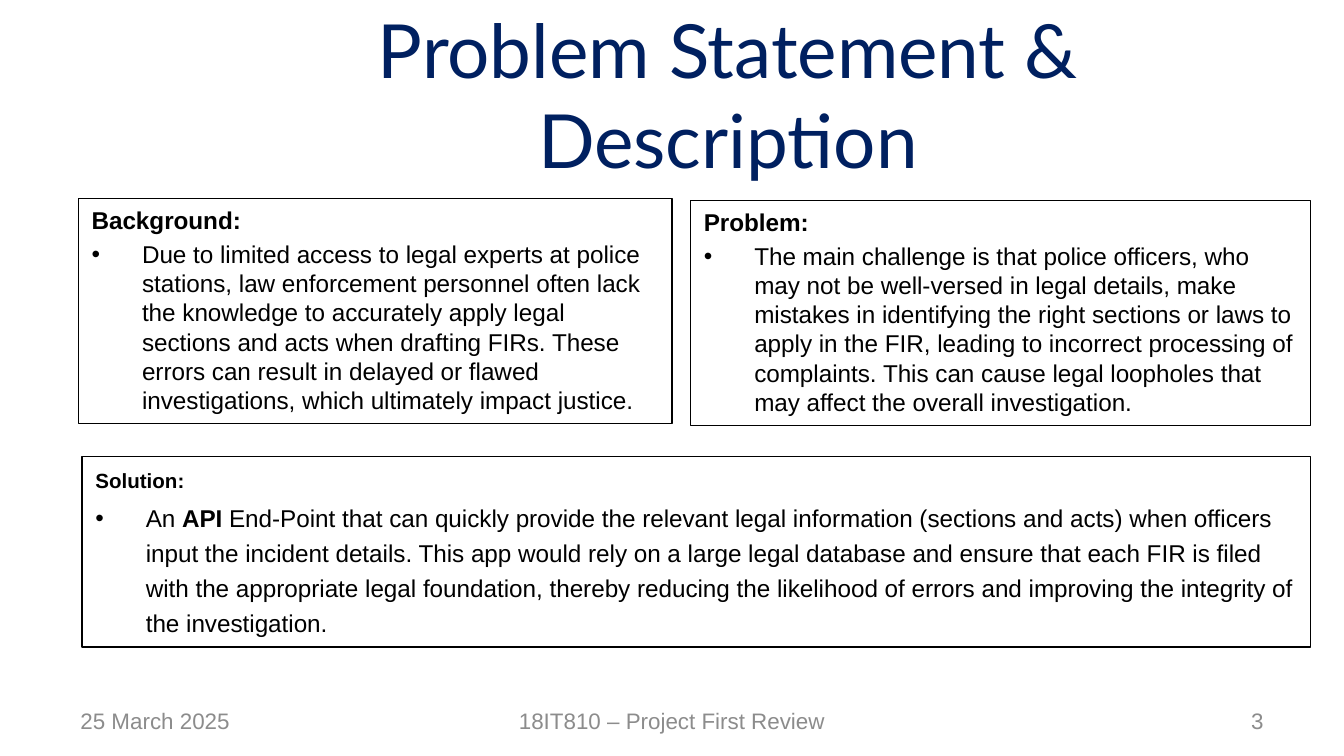
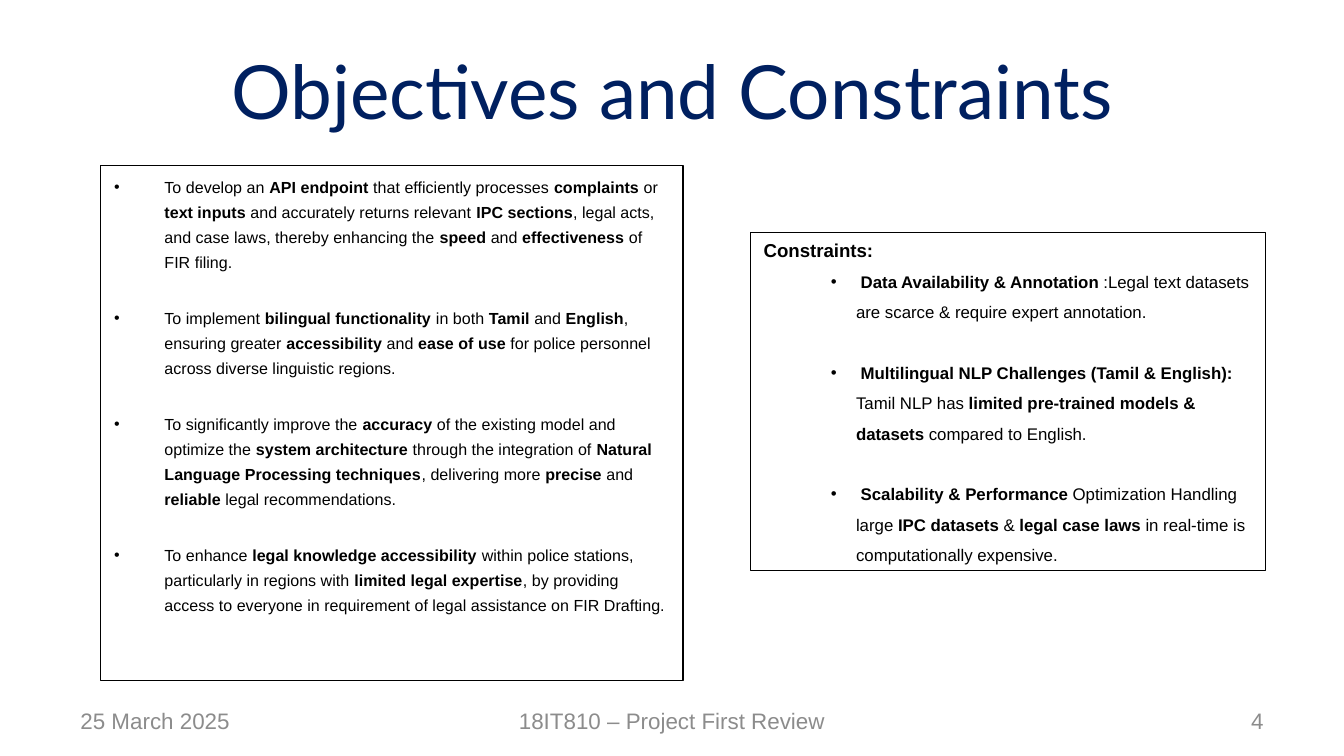
"""Build two project review slides: problem statement, then objectives and constraints."""
from dataclasses import dataclass

from lxml import etree
from pptx import Presentation
from pptx.dml.color import RGBColor
from pptx.enum import shapes, text
from pptx.oxml import ns
from pptx.util import Pt

ALIGN = text.PP_ALIGN
ANCHOR = text.MSO_ANCHOR


@dataclass(frozen=True)
class Theme:
    """Colours, fonts and type sizes of the deck."""
    navy: RGBColor = RGBColor(0x00, 0x20, 0x60)
    ink: RGBColor = RGBColor(0, 0, 0)
    grey: RGBColor = RGBColor(0x8C, 0x8C, 0x8C)
    head: str = "Lato"
    body: str = "Arial"
    title: float = 40
    large: float = 13
    label: float = 11
    foot: float = 12
    goal: float = 8.6
    limit: float = 9
    limit_head: float = 10
    rule: float = 0.75


THEME = Theme()


@dataclass(frozen=True)
class Area:
    """A place on the slide, in points."""
    left: float
    top: float
    width: float
    height: float

    def box(self) -> tuple:
        """Return the place as lengths."""
        return Pt(self.left), Pt(self.top), Pt(self.width), Pt(self.height)


@dataclass(frozen=True)
class Para:
    """A paragraph whose bold spans stand between asterisks."""
    words: str
    size: float
    line: float = 1.0
    before: float = 0
    margin: float = 0
    hang: float = 0
    level: int = 0


@dataclass(frozen=True)
class Panel:
    """An outlined box of paragraphs."""
    area: Area
    paras: list


@dataclass(frozen=True)
class Page:
    """A slide with its title, number and panels."""
    title: str
    place: Area
    number: int
    panels: list


def style(run, size: float, color: RGBColor, font: str, bold: bool = False) -> None:
    """Format one run."""
    run.font.size = Pt(size)
    run.font.color.rgb = color
    run.font.name = font
    run.font.bold = bold


def bullet(par, margin: float, hang: float) -> None:
    """Give a paragraph a hanging round bullet."""
    props = par._p.get_or_add_pPr()
    props.set("marL", str(Pt(margin)))
    props.set("indent", str(-Pt(hang)))
    face = etree.SubElement(props, ns.qn("a:buFont"))
    face.set("typeface", THEME.body)
    mark = etree.SubElement(props, ns.qn("a:buChar"))
    mark.set("char", "•")


def write(par, item: Para) -> None:
    """Fill a paragraph, with its spacing, bullet and bold spans."""
    par.alignment = ALIGN.LEFT
    par.level = item.level
    par.line_spacing = item.line
    par.space_before = Pt(item.before)
    if item.hang:
        bullet(par, item.margin, item.hang)
    for i, part in enumerate(item.words.split("*")):
        if part:
            run = par.add_run()
            run.text = part
            style(run, item.size, THEME.ink, THEME.body, i % 2 == 1)


def draw_panel(slide, panel: Panel) -> None:
    """Draw an outlined box and its text."""
    shape = slide.shapes.add_shape(shapes.MSO_SHAPE.RECTANGLE, *panel.area.box())
    shape.shadow.inherit = False
    shape.fill.background()
    shape.line.color.rgb = THEME.ink
    shape.line.width = Pt(THEME.rule)
    frame = shape.text_frame
    frame.word_wrap = True
    frame.vertical_anchor = ANCHOR.TOP
    for i, item in enumerate(panel.paras):
        write(frame.add_paragraph() if i else frame.paragraphs[0], item)


def set_line(shape, words: str, align: ALIGN, size: float, color: RGBColor, font: str) -> None:
    """Set one centred-height text in a title or footer."""
    frame = shape.text_frame
    frame.text = words
    frame.word_wrap = True
    frame.auto_size = text.MSO_AUTO_SIZE.NONE
    frame.vertical_anchor = ANCHOR.MIDDLE
    par = frame.paragraphs[0]
    par.alignment = align
    style(par.runs[0], size, color, font)


def draw_foot(slide, number: int) -> None:
    """Draw the date, course and page number."""
    for left, width, words, align in (
        (36, 168, "25 March 2025", ALIGN.LEFT),
        (246, 228, "18IT810 – Project First Review", ALIGN.CENTER),
        (516, 168, str(number), ALIGN.RIGHT),
    ):
        box = slide.shapes.add_textbox(*Area(left, 375.4, width, 21.6).box())
        set_line(box, words, align, THEME.foot, THEME.grey, THEME.body)


def draw_page(deck, page: Page) -> None:
    """Add one slide to the deck."""
    slide = deck.slides.add_slide(deck.slide_layouts[5])
    title = slide.shapes.title
    title.left, title.top, title.width, title.height = page.place.box()
    set_line(title, page.title, ALIGN.CENTER, THEME.title, THEME.navy, THEME.head)
    for panel in page.panels:
        draw_panel(slide, panel)
    draw_foot(slide, page.number)


def topic(area: Area, head: str, words: str, size: float = THEME.large, line: float = 1.0) -> Panel:
    """Make a panel with a bold heading and one bullet."""
    return Panel(area, [
        Para(f"*{head}*", size, line, 0.2 * size),
        Para(words, THEME.large, line, 0.2 * THEME.large, 27, 27),
    ])


GOALS = [
    "To develop an *API endpoint* that efficiently processes *complaints* or *text inputs* and "
    "accurately returns relevant *IPC sections*, legal acts, and case laws, thereby enhancing "
    "the *speed* and *effectiveness* of FIR filing.",
    "To implement *bilingual functionality* in both *Tamil* and *English*, ensuring greater "
    "*accessibility* and *ease of use* for police personnel across diverse linguistic regions.",
    "To significantly improve the *accuracy* of the existing model and optimize the *system "
    "architecture* through the integration of *Natural Language Processing techniques*, "
    "delivering more *precise* and *reliable* legal recommendations.",
    "To enhance *legal knowledge accessibility* within police stations, particularly in regions "
    "with *limited legal expertise*, by providing access to everyone in requirement of legal "
    "assistance on FIR Drafting.",
]

LIMITS = [
    "* Data Availability & Annotation* :Legal text datasets are scarce & require expert annotation.",
    " *Multilingual NLP Challenges (Tamil & English): *Tamil NLP has *limited pre-trained models "
    "& datasets* compared to English.",
    " *Scalability & Performance *Optimization Handling large *IPC datasets *& *legal case laws "
    "*in real-time is computationally expensive.",
]

PAGES = [
    Page("Problem Statement & Description", Area(96, 16.5, 588, 67.5), 3, [
        topic(Area(44, 244.6, 658, 102), "Solution:",
              "An *API *End-Point that can quickly provide the relevant legal information (sections "
              "and acts) when officers input the incident details. This app would rely on a large "
              "legal database and ensure that each FIR is filed with the appropriate legal "
              "foundation, thereby reducing the likelihood of errors and improving the integrity "
              "of the investigation.", THEME.label, 1.2),
        topic(Area(42, 106.4, 318, 120.6), "Background:",
              "Due to limited access to legal experts at police stations, law enforcement personnel "
              "often lack the knowledge to accurately apply legal sections and acts when drafting "
              "FIRs. These errors can result in delayed or flawed investigations, which ultimately "
              "impact justice."),
        topic(Area(370, 107.4, 332, 120.6), "Problem:",
              "The main challenge is that police officers, who may not be well-versed in legal "
              "details, make mistakes in identifying the right sections or laws to apply in the "
              "FIR, leading to incorrect processing of complaints. This can cause legal loopholes "
              "that may affect the overall investigation."),
    ]),
    Page("Objectives and Constraints", Area(66, 14.5, 588, 67.5), 4, [
        Panel(Area(54, 88.6, 312, 276), [
            Para(goal, THEME.goal, 1.3, 16.5 if i else 1.7, 27, 27)
            for i, goal in enumerate(GOALS)
        ]),
        Panel(Area(402, 124.6, 276, 181), [Para("*Constraints:*", THEME.limit_head)] + [
            Para(limit, THEME.limit, 1.5, 16.2 if i else 0, 49.5, 13.5, 1)
            for i, limit in enumerate(LIMITS)
        ]),
    ]),
]


def main() -> None:
    """Build and save the deck."""
    deck = Presentation()
    deck.slide_width, deck.slide_height = Pt(720), Pt(405)
    for page in PAGES:
        draw_page(deck, page)
    deck.save("out.pptx")


if __name__ == "__main__":
    main()
